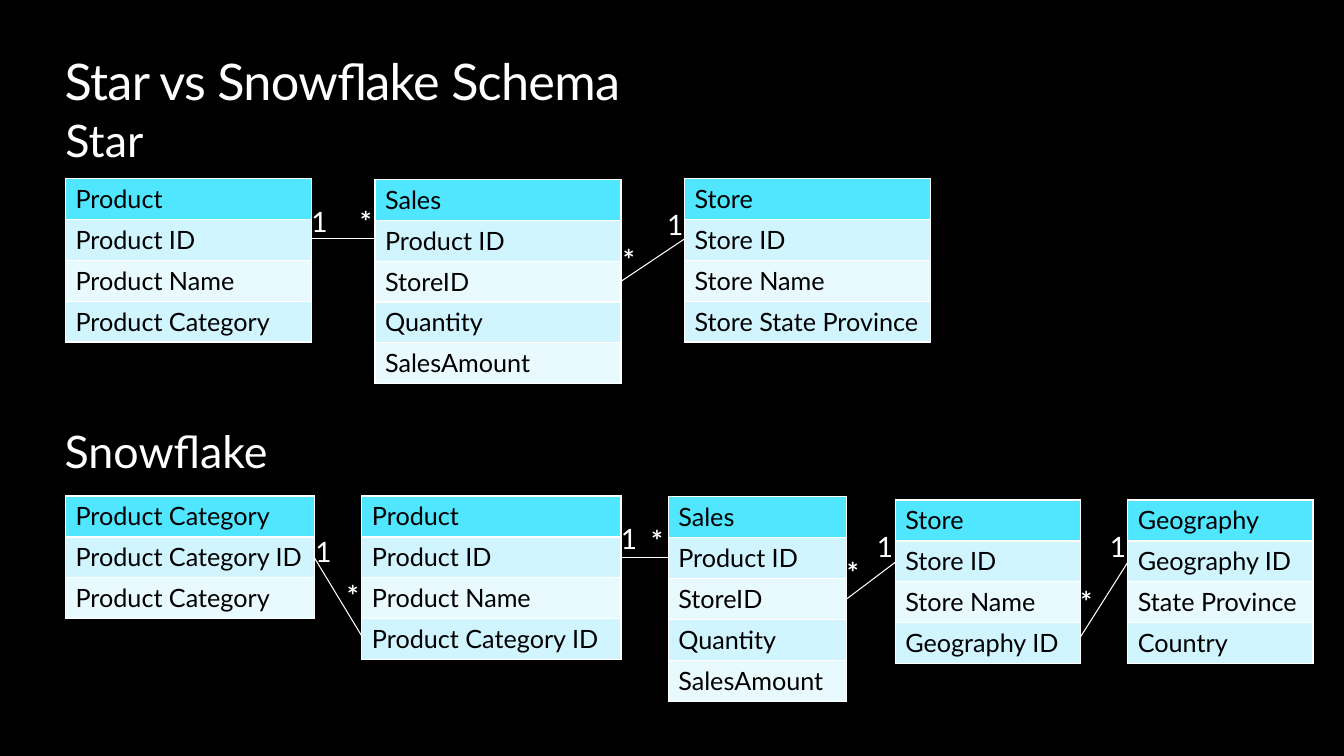
import pptx
import pptx.util
import pptx.dml.color
import pptx.enum.shapes
import pptx.enum.text
import pptx.oxml.ns
import lxml.etree

Cm = pptx.util.Cm
Pt = pptx.util.Pt
RGBColor = pptx.dml.color.RGBColor

BLACK = RGBColor(0x00, 0x00, 0x00)
WHITE = RGBColor(0xFF, 0xFF, 0xFF)
HEAD = RGBColor(0x50, 0xE6, 0xFF)
BANDS = (RGBColor(0xE9, 0xFA, 0xFF), RGBColor(0xD0, 0xF5, 0xFF))
FONT = "Lato"
ROW = 1.03

TITLES = [
    ("Star vs Snowflake Schema", 1.63, 1.27, 30.6, 1.55, 36, -50),
    ("Star", 1.65, 2.84, 3.48, 1.37, 32, 0),
    ("Snowflake", 1.63, 10.69, 7.06, 1.37, 32, 0),
]

STAR = [
    (1.65, 4.5, 6.2, ["Product", "Product ID", "Product Name", "Product Category"]),
    (9.45, 4.52, 6.2, ["Sales", "Product ID", "StoreID", "Quantity", "SalesAmount"]),
    (17.25, 4.5, 6.2, ["Store", "Store ID", "Store Name", "Store State Province"]),
]
FLAKE = [
    (1.65, 12.5, 6.27, ["Product Category", "Product Category ID", "Product Category"]),
    (9.12, 12.5, 6.53, ["Product", "Product ID", "Product Name", "Product Category ID"]),
    (16.84, 12.52, 4.5, ["Sales", "Product ID", "StoreID", "Quantity", "SalesAmount"]),
    (22.56, 12.6, 4.67, ["Store", "Store ID", "Store Name", "Geography ID"]),
    (28.42, 12.6, 4.67, ["Geography", "Geography ID", "State Province", "Country"]),
]

STAR_ENDS = [(6.02, 6.02), (7.09, 6.02)]
FLAKE_ENDS = [(14.05, 16.03), (14.05, 14.05), (15.09, 14.17), (16.05, 14.17)]

MARKS = {
    "1": [(7.85, 5.16), (16.81, 5.23), (7.95, 13.46),
          (15.65, 13.13), (22.1, 13.34), (27.97, 13.34)],
    "*": [(9.07, 5.16), (15.7, 6.12), (8.74, 14.58),
          (16.41, 13.18), (21.34, 14), (27.23, 14.73)],
}
WIDTHS = {"1": 0.61, "*": 0.41}


def add_text(frame, text, size, color, bold=False, gap=0):
    run = frame.paragraphs[0].add_run()
    run.text = text
    run.font.name = FONT
    run.font.size = Pt(size)
    run.font.bold = bold
    run.font.color.rgb = color
    if gap:
        run._r.get_or_add_rPr().set("spc", str(gap))


def add_label(slide, text, x, y, w, h, size, bold=False, gap=0):
    box = slide.shapes.add_textbox(Cm(x), Cm(y), Cm(w), Cm(h))
    frame = box.text_frame
    frame.margin_left = frame.margin_right = 0
    frame.margin_top = frame.margin_bottom = 0
    frame.word_wrap = True
    frame.auto_size = pptx.enum.text.MSO_AUTO_SIZE.SHAPE_TO_FIT_TEXT
    add_text(frame, text, size, WHITE, bold, gap)


def add_grid(slide, x, y, w, names):
    count = len(names)
    table = slide.shapes.add_table(
        count, 1, Cm(x), Cm(y), Cm(w), Cm(ROW * count)).table
    for i, name in enumerate(names):
        table.rows[i].height = Cm(ROW)
        cell = table.cell(i, 0)
        cell.fill.solid()
        cell.fill.fore_color.rgb = BANDS[i % 2] if i else HEAD
        add_text(cell.text_frame, name, 18, BLACK)


def add_link(slide, x1, y1, x2, y2):
    line = slide.shapes.add_connector(
        pptx.enum.shapes.MSO_CONNECTOR.STRAIGHT, Cm(x1), Cm(y1), Cm(x2), Cm(y2))
    line.line.color.rgb = WHITE
    line.line.width = Pt(0.75)
    lxml.etree.SubElement(line._element.spPr, pptx.oxml.ns.qn("a:effectLst"))


def main():
    deck = pptx.Presentation()
    deck.slide_width = Cm(33.87)
    deck.slide_height = Cm(19.05)
    slide = deck.slides.add_slide(deck.slide_layouts[6])
    slide.background.fill.solid()
    slide.background.fill.fore_color.rgb = BLACK

    for text, x, y, w, h, size, gap in TITLES:
        add_label(slide, text, x, y, w, h, size, gap=gap)

    for grids, ends in ((STAR, STAR_ENDS), (FLAKE, FLAKE_ENDS)):
        for grid in grids:
            add_grid(slide, *grid)
        for left, right, (y1, y2) in zip(grids, grids[1:], ends):
            add_link(slide, left[0] + left[2], y1, right[0], y2)

    for mark, spots in MARKS.items():
        for x, y in spots:
            add_label(slide, mark, x, y, WIDTHS[mark], 0.86, 20, mark == "*")

    deck.save("out.pptx")


if __name__ == "__main__":
    main()
